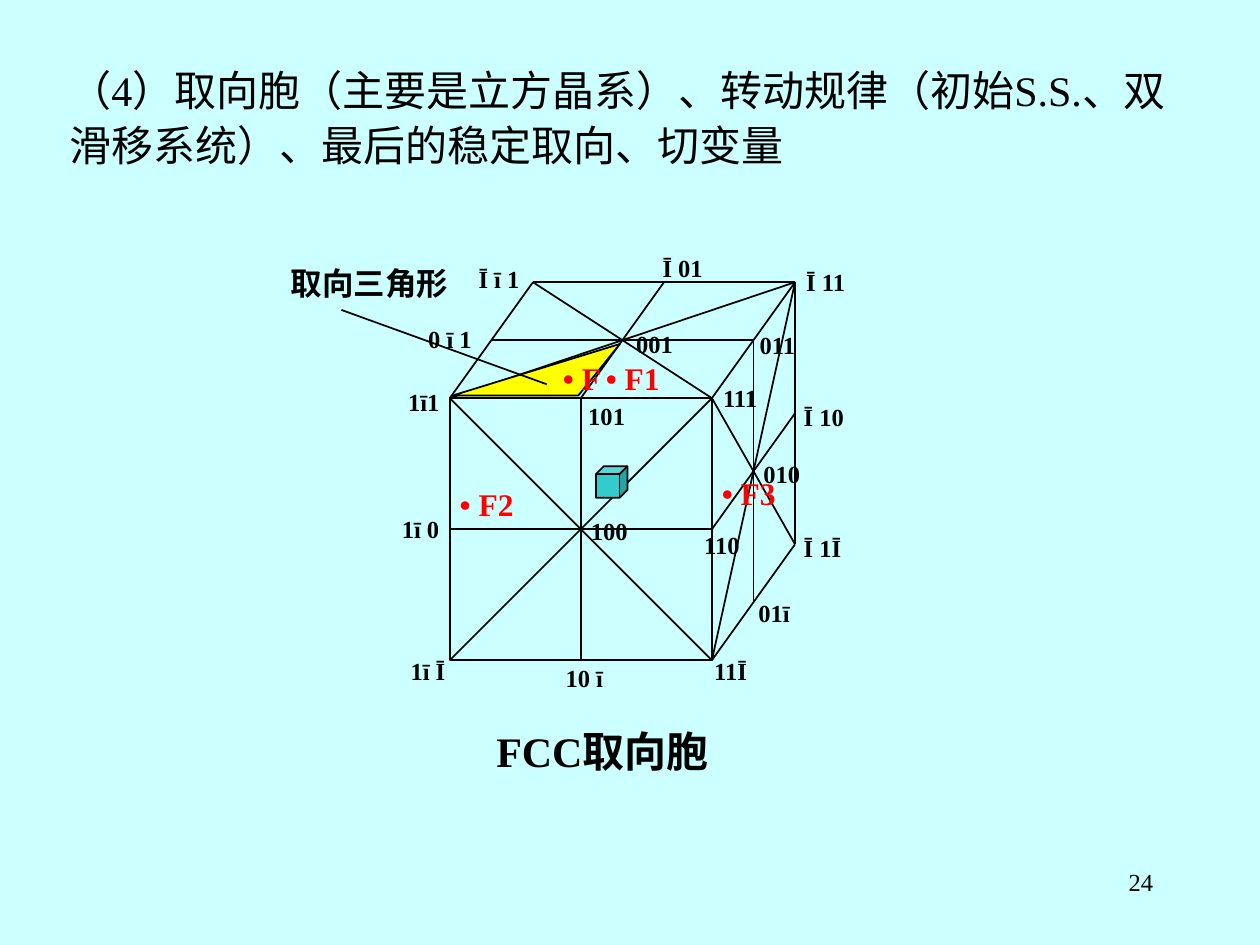
"""Build the slide on the FCC orientation cell."""
from lxml.etree import SubElement
from pptx import Presentation
from pptx.dml.color import RGBColor
from pptx.enum.shapes import MSO_CONNECTOR, MSO_SHAPE
from pptx.enum.text import MSO_ANCHOR, MSO_AUTO_SIZE, PP_ALIGN
from pptx.oxml.ns import qn
from pptx.util import Inches, Pt

THEME = {
    "font": "Times New Roman",
    "background": RGBColor(0xCC, 0xFF, 0xFF),
    "ink": RGBColor(0, 0, 0),
    "point": RGBColor(0xFF, 0, 0),
    "triangle": RGBColor(0xFF, 0xFF, 0),
    "crystal": RGBColor(0x33, 0xCC, 0xCC),
    "large": 24,
    "medium": 18,
    "small": 14,
    "line": Pt(1),
}

TITLE = "（4）取向胞（主要是立方晶系）、转动规律（初始S.S.、双滑移系统）、最后的稳定取向、切变量"
CAPTION = "FCC取向胞"
TRIANGLE_NAME = "取向三角形"
PAGE_NUMBER = "24"

FRONT_LEFT, FRONT_TOP = 3.57, 3.16
HALF_WIDTH, HALF_HEIGHT = 1.04, 1.04
HALF_DEPTH_X, HALF_DEPTH_Y = 0.33, 0.46

CELL_LINES = [
    ((-1, -1, 1), (-1, 1, 1)),
    ((-1, 1, 1), (-1, 1, -1)),
    ((0, 1, 1), (0, 1, -1)),
    ((1, 0, 1), (1, 0, -1)),
    ((1, -1, 0), (1, 1, 0)),
    ((0, -1, 1), (0, 1, 1)),
    ((1, -1, -1), (1, 1, 1)),
    ((1, 1, 1), (-1, 1, 1)),
    ((1, -1, 1), (1, 1, -1)),
    ((1, 1, -1), (-1, 1, -1)),
    ((1, 0, 1), (-1, 0, 1)),
    ((1, -1, 1), (-1, -1, 1)),
    ((1, 1, 0), (-1, 1, 0)),
    ((1, -1, 1), (-1, 1, 1)),
    ((-1, -1, 1), (1, 1, 1)),
    ((-1, 1, 1), (1, 1, -1)),
    ((1, 1, 1), (-1, 1, -1)),
]

DIRECTION_LABELS = [
    ("001", 4.95, 2.56, 0.58),
    ("100", 4.59, 4.05, 0.58),
    ("010", 5.96, 3.59, 0.58),
    ("111", 5.64, 2.99, 0.58),
    ("Ī 11", 6.3, 2.07, 0.58),
    ("1ī1", 3.14, 3.02, 0.58),
    ("Ī ī 1", 3.7, 2.05, 0.8),
    ("11Ī", 5.57, 5.16, 0.58),
    ("1ī Ī", 3.16, 5.16, 0.58),
    ("Ī 1Ī", 6.28, 4.18, 0.58),
    ("110", 5.49, 4.16, 0.58),
    ("Ī 10", 6.28, 3.14, 0.58),
    ("1ī 0", 3.09, 4.03, 0.58),
    ("101", 4.57, 3.13, 0.58),
    ("Ī 01", 5.16, 1.96, 0.58),
    ("10 ī", 4.39, 5.21, 0.58),
    ("011", 5.93, 2.57, 0.58),
    ("01ī", 5.92, 4.7, 0.58),
    ("0 ī 1", 3.3, 2.52, 0.72),
]
FORCE_POINTS = [("• F1", 4.71, 2.8), ("• F3", 5.63, 3.71), ("• F2", 3.55, 3.8)]
TRIANGLE = [(3.59, 3.14), (4.92, 2.73), (4.59, 3.14)]
POINTER = [(4.34, 3.05), (2.71, 2.46)]


def project(direction):
    """Return the place in inches of a crystal direction on the cell."""
    front, right, up = direction
    x = FRONT_LEFT + HALF_WIDTH * (right + 1) + HALF_DEPTH_X * (1 - front)
    y = FRONT_TOP + HALF_HEIGHT * (1 - up) - HALF_DEPTH_Y * (1 - front)
    return x, y


def format_text(shape, text, size, color="ink", bold=True, wrap=True):
    """Fill a text shape with one styled paragraph and return it."""
    frame = shape.text_frame
    frame.text = text
    frame.word_wrap = wrap
    frame.auto_size = MSO_AUTO_SIZE.SHAPE_TO_FIT_TEXT
    frame.vertical_anchor = MSO_ANCHOR.TOP
    paragraph = frame.paragraphs[0]
    paragraph.alignment = PP_ALIGN.LEFT
    paragraph.space_before = Pt(THEME[size] * 0.625)
    font = paragraph.font
    font.name = THEME["font"]
    font.size = Pt(THEME[size])
    font.bold = bold
    font.color.rgb = THEME[color]
    return paragraph


def add_text(shapes, text, box, size, **style):
    """Add a text box and return its paragraph."""
    return format_text(shapes.add_textbox(*map(Inches, box)), text, size, **style)


def add_line(shapes, start, end):
    """Add a straight line without shadow."""
    line = shapes.add_connector(MSO_CONNECTOR.STRAIGHT, *map(Inches, (*start, *end)))
    line.line.color.rgb = THEME["ink"]
    line.line.width = THEME["line"]
    SubElement(line._element.spPr, qn("a:effectLst"))


def outline(shape, fill=None):
    """Give a shape a thin outline and a fill, or none."""
    shape.shadow.inherit = False
    shape.line.color.rgb = THEME["ink"]
    shape.line.width = THEME["line"]
    if fill:
        shape.fill.solid()
        shape.fill.fore_color.rgb = THEME[fill]
    else:
        shape.fill.background()


def add_cell(slide):
    """Add the wire-frame cell."""
    cell = slide.shapes.add_group_shape().shapes
    face = (FRONT_LEFT, FRONT_TOP, 2 * HALF_WIDTH, 2 * HALF_HEIGHT)
    outline(cell.add_shape(MSO_SHAPE.RECTANGLE, *map(Inches, face)))
    for start, end in CELL_LINES:
        add_line(cell, project(start), project(end))


def add_triangle(slide):
    """Add the orientation triangle with its name and pointer."""
    group = slide.shapes.add_group_shape().shapes
    first, *others = [tuple(map(Inches, point)) for point in TRIANGLE]
    builder = group.build_freeform(*first)
    builder.add_line_segments(others, close=True)
    outline(builder.convert_to_shape(), "triangle")
    add_line(group, *POINTER)
    add_text(group, TRIANGLE_NAME, (2.21, 2.05, 1.58, 0.4), "medium")


def main():
    """Compose and save the slide."""
    presentation = Presentation()
    presentation.slide_width, presentation.slide_height = Inches(10), Inches(7.5)
    slide = presentation.slides.add_slide(presentation.slide_layouts[5])
    slide.background.fill.solid()
    slide.background.fill.fore_color.rgb = THEME["background"]

    title = slide.shapes.title
    title.left, title.top, title.width, title.height = map(Inches, (0.45, 0.42, 8.99, 0.98))
    format_text(title, TITLE, "large", bold=False).line_spacing = 1.1
    number = add_text(slide.shapes, PAGE_NUMBER, (7.17, 6.83, 2.08, 0.5), "small", bold=False)
    number.alignment = PP_ALIGN.RIGHT

    add_cell(slide)
    crystal = slide.shapes.add_shape(MSO_SHAPE.CUBE, *map(Inches, (4.73, 3.7, 0.25, 0.25)))
    outline(crystal, "crystal")
    for text, left, top, width in DIRECTION_LABELS:
        add_text(slide.shapes, text, (left, top, width, 0.34), "small")
    add_text(slide.shapes, CAPTION, (3.84, 5.71, 2.42, 0.5), "large")
    add_triangle(slide)

    points = slide.shapes.add_group_shape().shapes
    for text, left, top in FORCE_POINTS:
        add_text(points, text, (left, top, 0.75, 0.4), "medium", color="point")
    add_text(slide.shapes, "• F", (4.37, 2.8, 0.5, 0.4), "medium", color="point", wrap=False)
    presentation.save("out.pptx")


if __name__ == "__main__":
    main()
